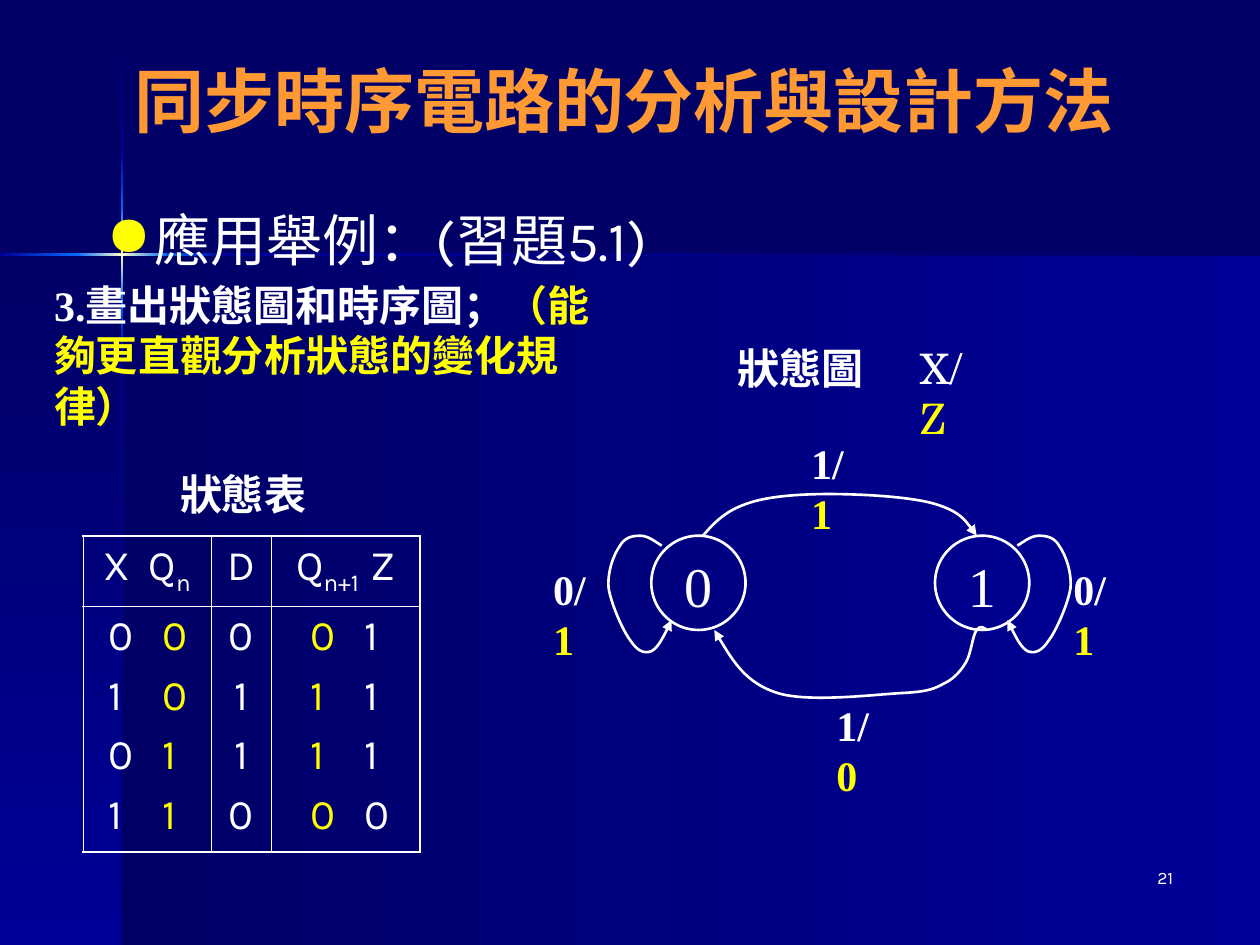
"""Build the slide on state tables and state diagrams of synchronous sequential circuits."""
from dataclasses import dataclass
from itertools import pairwise

from lxml.etree import SubElement
from pptx import Presentation
from pptx.dml.color import RGBColor
from pptx.enum.shapes import MSO_SHAPE
from pptx.enum.text import MSO_ANCHOR, PP_ALIGN
from pptx.oxml.ns import qn
from pptx.util import Cm, Pt


@dataclass(frozen=True)
class Theme:
    white: str = "FFFFFF"
    yellow: str = "FFFF00"
    orange: str = "FF9933"
    navy: str = "000066"
    blue: str = "000099"
    azure: str = "0066FF"
    glow: str = "FFFFCC"
    sans: str = "Karla"
    serif: str = "Times New Roman"
    heading: str = "TeX Gyre Schola"
    title: int = 40
    large: int = 32
    normal: int = 24
    small: int = 10
    outer_border: float = 1.08
    inner_border: float = 0.45
    outline: float = 1.5


THEME = Theme()


@dataclass(frozen=True)
class Span:
    text: str
    color: str = THEME.white
    subscript: bool = False


@dataclass(frozen=True)
class Label:
    spans: tuple
    box: tuple
    font: str = THEME.serif
    size: int = THEME.normal
    bold: bool = False
    wrap: bool = True
    align: PP_ALIGN = PP_ALIGN.LEFT
    anchor: MSO_ANCHOR = MSO_ANCHOR.TOP
    bullet: str = ""


@dataclass(frozen=True)
class Cell:
    lines: tuple
    left: float = 0.25
    tab: float = 0
    align: PP_ALIGN = PP_ALIGN.LEFT


def pair(first: str, second: str, yellow_first: bool = False) -> tuple:
    colors = (THEME.yellow, THEME.white) if yellow_first else (THEME.white, THEME.yellow)
    return Span(first, colors[0]), Span(second, colors[1])


def write_spans(paragraph, spans: tuple, font: str, size: int, bold: bool = False) -> None:
    for span in spans:
        run = paragraph.add_run()
        run.text = span.text
        run.font.name, run.font.size, run.font.bold = font, Pt(size), bold
        run.font.color.rgb = RGBColor.from_string(span.color)
        if span.subscript:
            run.font._element.set("baseline", "-25000")


def add_bullet(paragraph, mark: str) -> None:
    properties = paragraph._p.get_or_add_pPr()
    properties.set("marL", str(Cm(0.97)))
    properties.set("indent", str(-Cm(0.97)))
    color = SubElement(properties, qn("a:buClr"))
    SubElement(color, qn("a:srgbClr"), val=THEME.yellow)
    SubElement(properties, qn("a:buChar"), char=mark)


def draw_label(shapes, label: Label) -> None:
    frame = shapes.add_textbox(*map(Cm, label.box)).text_frame
    frame.word_wrap, frame.vertical_anchor = label.wrap, label.anchor
    paragraph = frame.paragraphs[0]
    paragraph.alignment = label.align
    if label.bullet:
        add_bullet(paragraph, label.bullet)
    write_spans(paragraph, label.spans, label.font, label.size, label.bold)


def draw_gradient(shapes, box: tuple, colors: tuple, downward: bool) -> None:
    panel = shapes.add_shape(MSO_SHAPE.RECTANGLE, *map(Cm, box))
    panel.shadow.inherit = False
    panel.line.fill.background()
    panel.fill.gradient()
    panel.fill.gradient_angle = 270 if downward else 0
    stops = panel._element.spPr.find(qn("a:gradFill")).find(qn("a:gsLst"))
    for stop in list(stops):
        stops.remove(stop)
    for index, color in enumerate(colors):
        stop = SubElement(stops, qn("a:gs"), pos=str(100000 * index // (len(colors) - 1)))
        SubElement(stop, qn("a:srgbClr"), val=color)


def draw_backdrop(shapes) -> None:
    rise, flash = (THEME.navy, THEME.blue), (THEME.blue, THEME.azure)
    glow = (THEME.azure, THEME.glow, THEME.azure)
    draw_gradient(shapes, (2.46, 5.13, 22.94, 13.92), rise, False)
    draw_gradient(shapes, (0, 5.13, 2.46, 13.92), rise, True)
    beam = (rise, flash, glow, flash[::-1], rise[::-1])
    for (top, bottom), colors in zip(pairwise((0.03, 3.07, 4.19, 6.05, 7.16, 19.05)), beam):
        draw_gradient(shapes, (2.44, top, 0.05, bottom - top), colors, True)
    for (left, right), colors in zip(pairwise((0, 1.53, 3.38, 4.5, 25.4)), beam[1:]):
        draw_gradient(shapes, (left, 5.11, right - left, 0.05), colors, False)


def style_outline(shape) -> None:
    shape.shadow.inherit = False
    shape.fill.background()
    shape.line.color.rgb = RGBColor.from_string(THEME.white)
    shape.line.width = Pt(THEME.outline)


def draw_state(shapes, name: str, left: float, top: float) -> None:
    style_outline(shapes.add_shape(MSO_SHAPE.OVAL, Cm(left), Cm(top), Cm(1.9), Cm(1.9)))
    draw_label(shapes, Label((Span(name),), (left + 0.41, top + 0.2, 1.07, 1.63), size=THEME.large))


def draw_transition(shapes, points: tuple) -> None:
    start, *controls = [(Cm(x), Cm(y)) for x, y in points]
    builder = shapes.build_freeform(*start)
    builder.add_line_segments(controls, close=False)
    arrow = builder.convert_to_shape()
    style_outline(arrow)
    SubElement(arrow.line._get_or_add_ln(), qn("a:tailEnd"), type="triangle")
    outline = next(arrow._element.iter(qn("a:path")))
    segments = outline.findall(qn("a:lnTo"))
    for index in range(0, len(segments), 3):
        curve = SubElement(outline, qn("a:cubicBezTo"))
        for segment in segments[index:index + 3]:
            curve.append(segment[0])
            outline.remove(segment)


def fill_cell(cell, content: Cell, outer_sides: dict) -> None:
    properties = cell._tc.get_or_add_tcPr()
    for side, is_outer in outer_sides.items():
        width = THEME.outer_border if is_outer else THEME.inner_border
        border = SubElement(properties, qn(f"a:ln{side}"), w=str(Pt(width)))
        SubElement(SubElement(border, qn("a:solidFill")), qn("a:srgbClr"), val=THEME.white)
    cell.fill.background()
    cell.margin_left = Cm(content.left)
    frame = cell.text_frame
    for index, spans in enumerate(content.lines):
        paragraph = frame.add_paragraph() if index else frame.paragraphs[0]
        paragraph.alignment = content.align
        paragraph.space_before = Pt(6 if index else 0)
        if content.tab:
            tabs = SubElement(paragraph._p.get_or_add_pPr(), qn("a:tabLst"))
            SubElement(tabs, qn("a:tab"), pos=str(Cm(content.tab)), algn="l")
        write_spans(paragraph, spans, THEME.sans, THEME.normal)


def draw_state_table(shapes, rows: tuple) -> None:
    widths, heights = (2.59, 1.19, 3.0), (1.42, 4.95)
    table = shapes.add_table(2, 3, Cm(1.68), Cm(10.8), Cm(sum(widths)), Cm(sum(heights))).table
    table.first_row = table.horz_banding = False
    for column, width in zip(table.columns, widths):
        column.width = Cm(width)
    for r, contents in enumerate(rows):
        table.rows[r].height = Cm(heights[r])
        for c, content in enumerate(contents):
            sides = {"L": c == 0, "R": c == 2, "T": r == 0, "B": r == 1}
            fill_cell(table.cell(r, c), content, sides)


def main() -> None:
    deck = Presentation()
    deck.slide_width, deck.slide_height = Cm(25.4), Cm(19.05)
    slide = deck.slides.add_slide(deck.slide_layouts[6])
    slide.background.fill.solid()
    slide.background.fill.fore_color.rgb = RGBColor.from_string(THEME.navy)
    shapes = slide.shapes
    draw_backdrop(shapes)

    center = PP_ALIGN.CENTER
    state_table = (
        (Cell(((Span("X\tQ"), Span("n", subscript=True)),), 0.41, 0.91),
         Cell(((Span("D"),),), align=center),
         Cell(((Span("Q"), Span("n+1", subscript=True), Span("\tZ")),), 0.51, 1.5)),
        (Cell(tuple(pair(x + "\t", q) for x, q in ("00", "10", "01", "11")), 0.51, 1.09),
         Cell(tuple((Span(d),) for d in "0110"), align=center),
         Cell(tuple(pair(q, "\t" + z, True) for q, z in ("01", "11", "11", "00")), 0.79, 1.09)),
    )
    labels = (
        Label((Span("21"),), (18.62, 17.35, 5.28, 1.27), THEME.sans, THEME.small, align=PP_ALIGN.RIGHT),
        Label((Span("同步時序電路的分析與設計方法", THEME.orange),), (0.64, 0.84, 23.88, 2.34),
              THEME.sans, THEME.title, True, align=center, anchor=MSO_ANCHOR.MIDDLE),
        Label((Span("狀態表"),), (3.38, 9.32, 3.07, 1.27), THEME.heading, bold=True),
        Label(pair("X/", "Z"), (18.31, 6.78, 1.8, 1.27), THEME.heading),
        Label((Span("狀態圖"),), (14.61, 6.78, 3.05, 1.27), THEME.heading, bold=True, wrap=False),
        Label((Span("應用舉例：(習題5.1)"),), (1.9, 4.01, 22.02, 12.9), THEME.sans, THEME.large, bullet="●"),
        Label(pair("3.畫出狀態圖和時序圖；", "（能夠更直觀分析狀態的變化規律）"),
              (0.84, 5.51, 11.86, 3.3), bold=True),
    )
    edge_labels = (("0/", "1", 10.9, 11.23), ("0/", "1", 21.39, 11.23),
                   ("1/", "1", 16.1, 8.69), ("1/", "0", 16.61, 13.97))
    stay_in_0 = ((13.34, 11), (13.18, 10.9), (13.06, 10.8), (12.9, 10.8), (12.78, 10.8), (12.6, 10.82),
                 (12.5, 11), (12.37, 11.18), (12.24, 11.53), (12.27, 11.86), (12.32, 12.17), (12.55, 12.7),
                 (12.7, 12.9), (12.85, 13.13), (12.98, 13.18), (13.13, 13.13), (13.26, 13.06),
                 (13.41, 12.78), (13.54, 12.5))
    stay_in_1 = tuple((33.85 - x, y) for x, y in stay_in_0)
    from_0_to_1 = ((14.17, 10.8), (14.4, 10.54), (14.61, 10.31), (15.04, 10.16), (15.44, 10.01),
                   (16.08, 9.96), (16.71, 9.96), (17.35, 9.96), (18.34, 10.01), (18.85, 10.16),
                   (19.33, 10.31), (19.51, 10.54), (19.69, 10.8))
    from_1_to_0 = ((19.89, 12.7), (19.84, 12.65), (19.76, 12.6), (19.69, 12.7), (19.61, 12.8),
                   (19.58, 13.16), (19.48, 13.34), (19.38, 13.51), (19.25, 13.67), (19.05, 13.77),
                   (18.85, 13.87), (18.77, 13.94), (18.21, 13.97), (17.63, 14), (16.31, 14.17),
                   (15.67, 13.97), (15.04, 13.77), (14.71, 13.23), (14.4, 12.7))

    for label in labels:
        draw_label(shapes, label)
    draw_state_table(shapes, state_table)
    draw_state(shapes, "0", 13.13, 10.8)
    draw_state(shapes, "1", 18.85, 10.8)
    for points in (stay_in_0, from_0_to_1, from_1_to_0, stay_in_1):
        draw_transition(shapes, points)
    for condition, output, left, top in edge_labels:
        draw_label(shapes, Label(pair(condition, output), (left, top, 1.57, 1.27), bold=True, wrap=False))
    deck.save("out.pptx")


if __name__ == "__main__":
    main()
